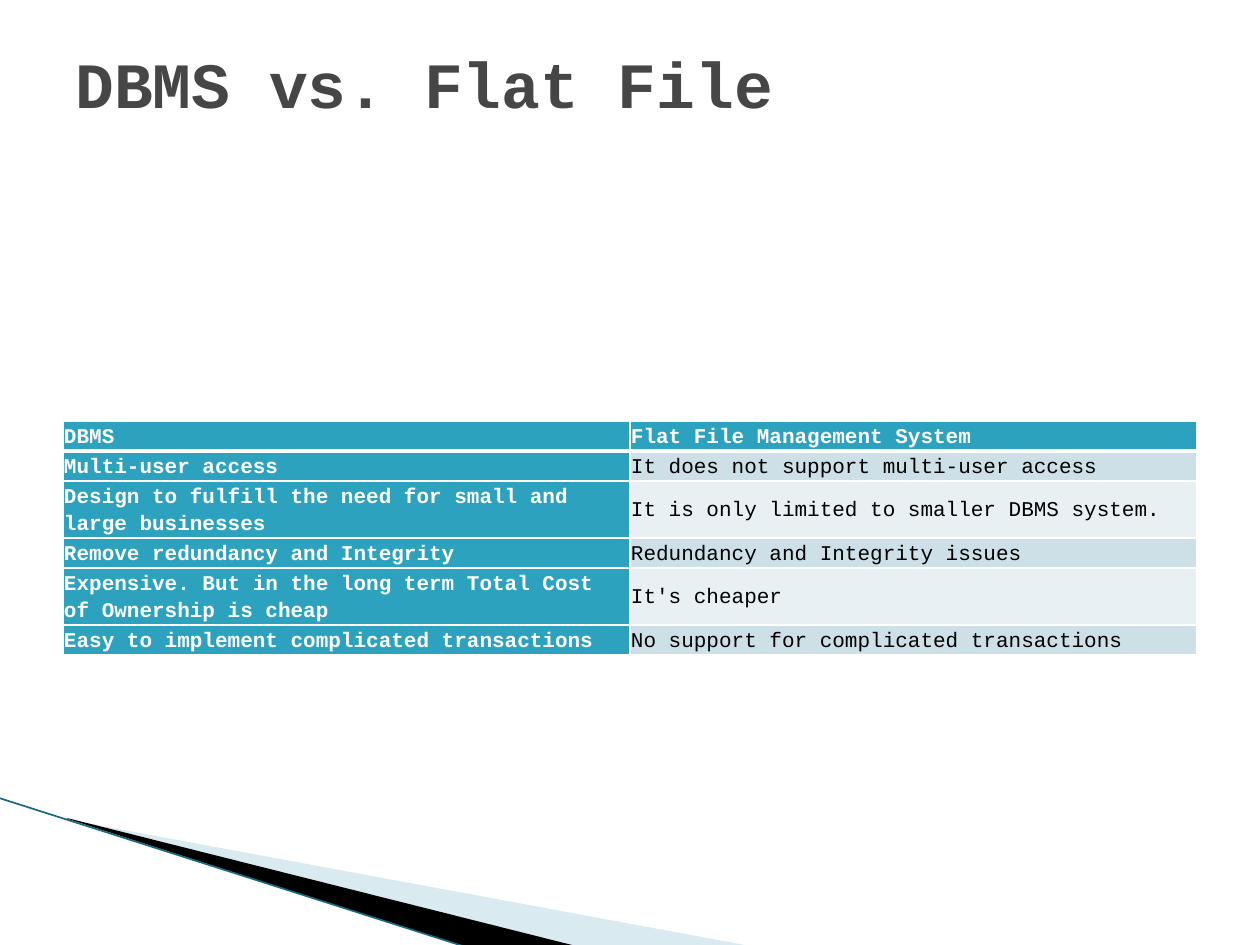
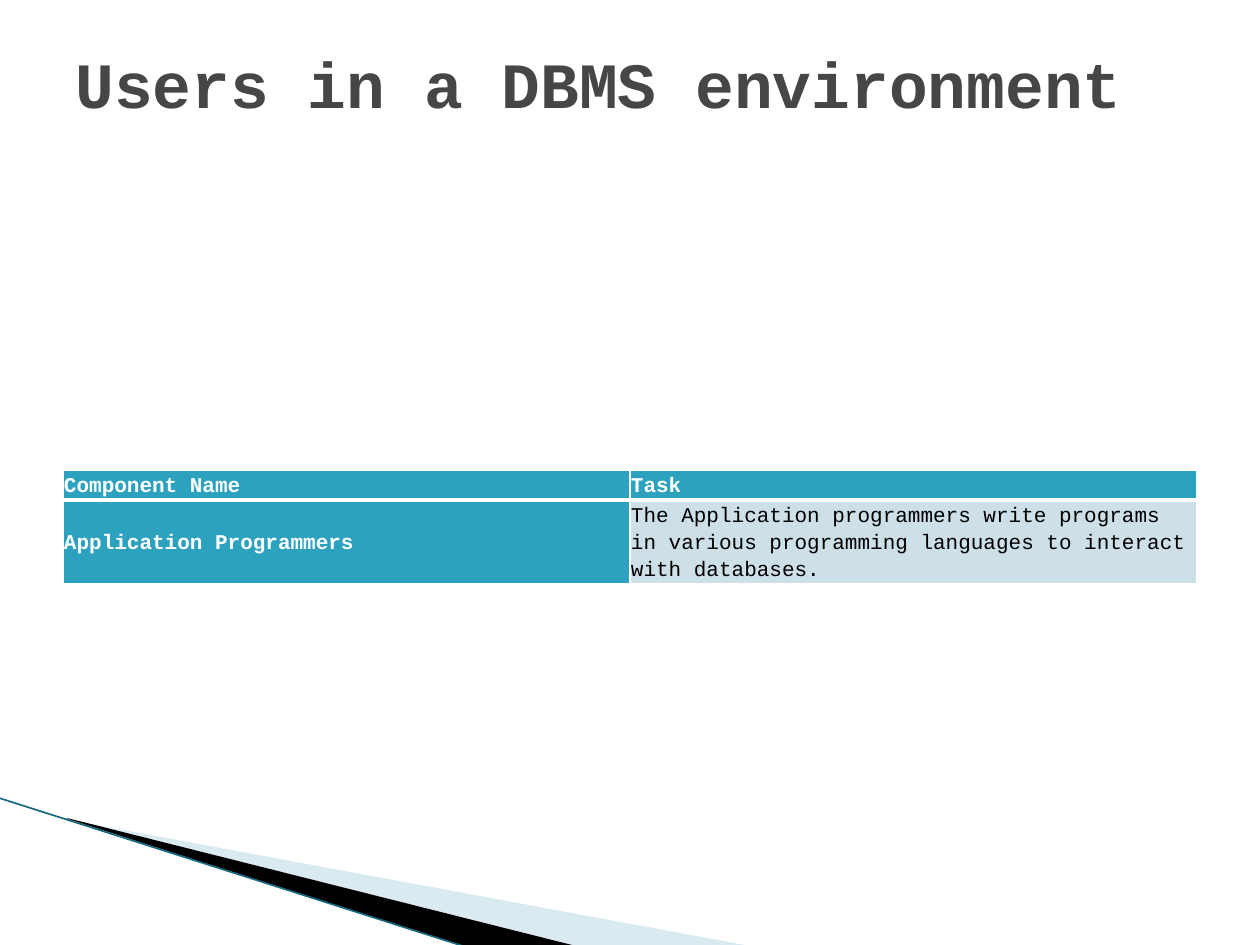
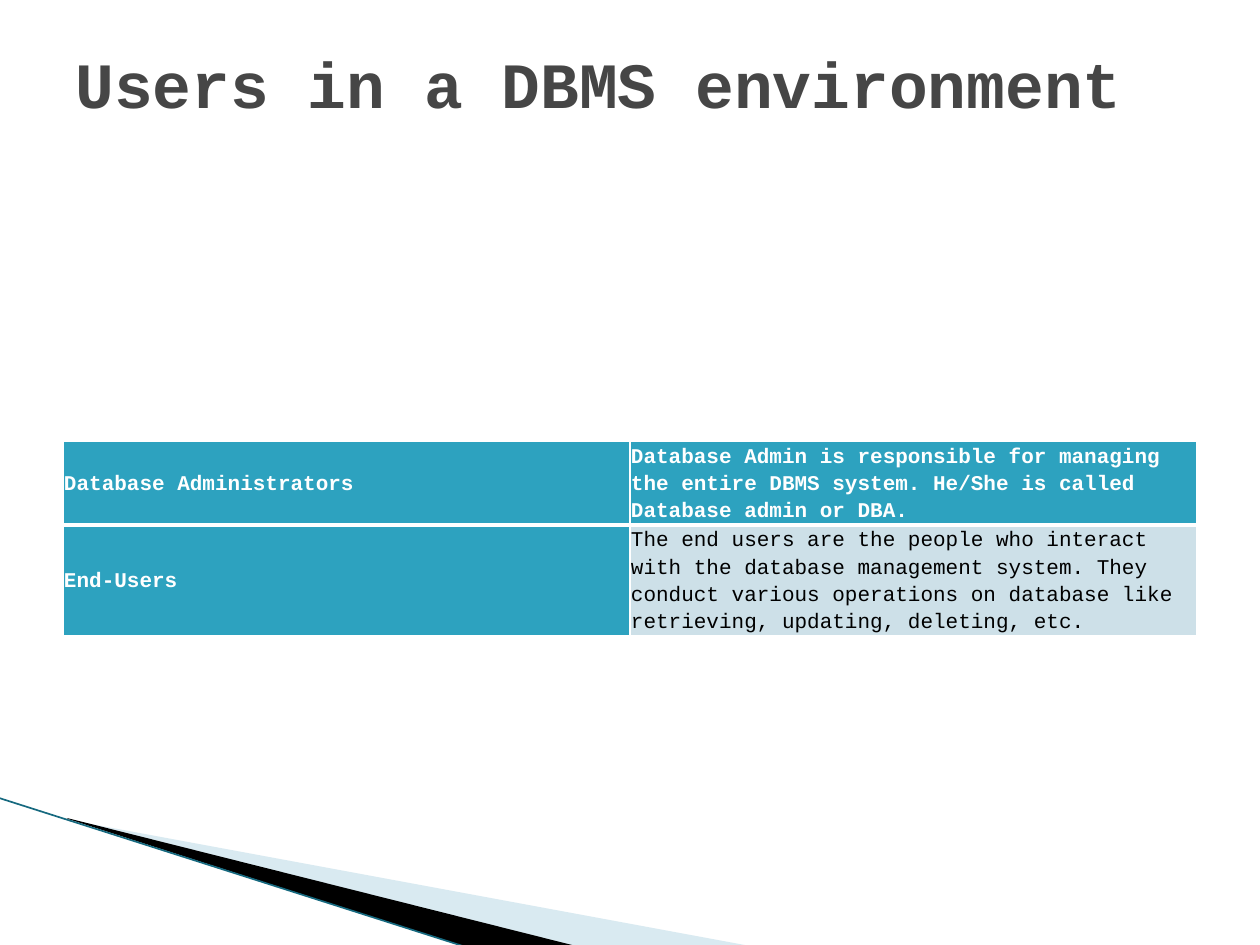
from lxml import etree
from pptx import Presentation
from pptx.dml.color import RGBColor
from pptx.enum.shapes import MSO_CONNECTOR
from pptx.enum.text import MSO_ANCHOR
from pptx.oxml import parse_xml
from pptx.oxml.ns import nsdecls, qn
from pptx.util import Emu, Pt

# Scale: 126 pixels to the inch
SCALE = 914400 // 126
PAGE_WIDTH, PAGE_HEIGHT = 1260, 945
MARGIN = 63
CONTENT_WIDTH = PAGE_WIDTH - 2 * MARGIN

# Shared look
FONT = "Courier New"
TITLE_GREY, WHITE, BLACK = "464646", "FFFFFF", "000000"
TEAL, BAND_DARK, BAND_LIGHT = "2DA2BF", "CDE0E8", "E8F0F4"
PALE_BLUE, EDGE_TEAL = "A0CBDC", "16697F"
LINE_HEIGHT, ROW_PADDING = 27, 3

# Each slide: title, table top, rows of (left, right, text lines)
SLIDES = [
    ("DBMS vs. Flat File", 421, [
        ("DBMS", "Flat File Management System", 1),
        ("Multi-user access", "It does not support multi-user access", 1),
        ("Design to fulfill the need for small and large businesses",
         "It is only limited to smaller DBMS system.", 2),
        ("Remove redundancy and Integrity", "Redundancy and Integrity issues", 1),
        ("Expensive. But in the long term Total Cost of Ownership is cheap",
         "It's cheaper", 2),
        ("Easy to implement complicated transactions",
         "No support for complicated transactions", 1),
    ]),
    ("Users in a DBMS environment", 470, [
        ("Component Name", "Task", 1),
        ("Application Programmers",
         "The Application programmers write programs in various programming "
         "languages to interact with databases.", 3),
    ]),
    ("Users in a DBMS environment", 441, [
        ("Database Administrators",
         "Database Admin is responsible for managing the entire DBMS system. "
         "He/She is called Database admin or DBA.", 3),
        ("End-Users",
         "The end users are the people who interact with the database management "
         "system. They conduct various operations on database like retrieving, "
         "updating, deleting, etc.", 4),
    ]),
]


def px(pixels):
    return Emu(pixels * SCALE)


def color(code):
    return RGBColor.from_string(code)


def style_text(para, size, code, bold):
    font = para.runs[0].font
    font.name, font.size, font.bold = FONT, Pt(size), bold
    font.color.rgb = color(code)


# Corner decoration
def add_wedge(page, points, code, opacity=100):
    start, *others = points
    builder = page.shapes.build_freeform(*start, scale=SCALE)
    builder.add_line_segments(others, close=True)
    wedge = builder.convert_to_shape()
    wedge.shadow.inherit = False
    wedge.line.fill.background()
    wedge.fill.solid()
    wedge.fill.fore_color.rgb = color(code)
    if opacity < 100:
        tone = wedge.fill._xPr.find(".//" + qn("a:srgbClr"))
        etree.SubElement(tone, qn("a:alpha"), val=str(opacity * 1000))


def add_corner(page):
    add_wedge(page, [(69, 820), (750, 946), (575, 946), (69, 819)], PALE_BLUE, 40)
    add_wedge(page, [(67, 818), (576, 946), (469, 948), (68, 819)], BLACK)
    edge = page.shapes.add_connector(
        MSO_CONNECTOR.STRAIGHT, px(-1), px(798), px(469), px(948))
    edge.line.color.rgb = color(EDGE_TEAL)
    edge.line.width = Pt(0.95)
    etree.SubElement(edge._element.spPr, qn("a:effectLst"))


# Title
def add_title(page, title):
    box = page.shapes.add_textbox(px(MARGIN), px(38), px(CONTENT_WIDTH), px(157))
    frame = box.text_frame
    frame.word_wrap = True
    frame.vertical_anchor = MSO_ANCHOR.TOP
    frame.text = title
    style_text(frame.paragraphs[0], 36.9, TITLE_GREY, True)


# Table
def set_borders(cell, top, bottom):
    properties = cell._tc.get_or_add_tcPr()
    widths = {"lnL": 1, "lnR": 1, "lnT": top, "lnB": bottom}
    for place, (tag, width) in enumerate(widths.items()):
        properties.insert(place, parse_xml(
            f'<a:{tag} {nsdecls("a")} w="{Pt(width)}"><a:solidFill>'
            f'<a:srgbClr val="{WHITE}"/></a:solidFill></a:{tag}>'))


def fill_cell(cell, text, row, column):
    strong = row == 0 or column == 0
    band = BAND_DARK if row % 2 else BAND_LIGHT
    cell.fill.solid()
    cell.fill.fore_color.rgb = color(TEAL if strong else band)
    cell.vertical_anchor = MSO_ANCHOR.MIDDLE
    cell.margin_left = cell.margin_right = px(1)
    cell.margin_top = cell.margin_bottom = px(1)
    set_borders(cell, top=3 if row == 1 else 1, bottom=3 if row == 0 else 1)
    cell.text = text
    para = cell.text_frame.paragraphs[0]
    para.line_spacing = 1.15
    style_text(para, 12, WHITE if strong else BLACK, strong)


def add_comparison(page, top, rows):
    heights = [LINE_HEIGHT * lines + ROW_PADDING for *_, lines in rows]
    table = page.shapes.add_table(
        len(rows), 2, px(MARGIN), px(top), px(CONTENT_WIDTH), px(sum(heights))).table
    for row, (left, right, _) in enumerate(rows):
        table.rows[row].height = px(heights[row])
        for column, text in enumerate((left, right)):
            fill_cell(table.cell(row, column), text, row, column)


def main():
    deck = Presentation()
    deck.slide_width, deck.slide_height = px(PAGE_WIDTH), px(PAGE_HEIGHT)
    for title, top, rows in SLIDES:
        page = deck.slides.add_slide(deck.slide_layouts[6])
        add_corner(page)
        add_comparison(page, top, rows)
        add_title(page, title)
    deck.save("out.pptx")


main()
